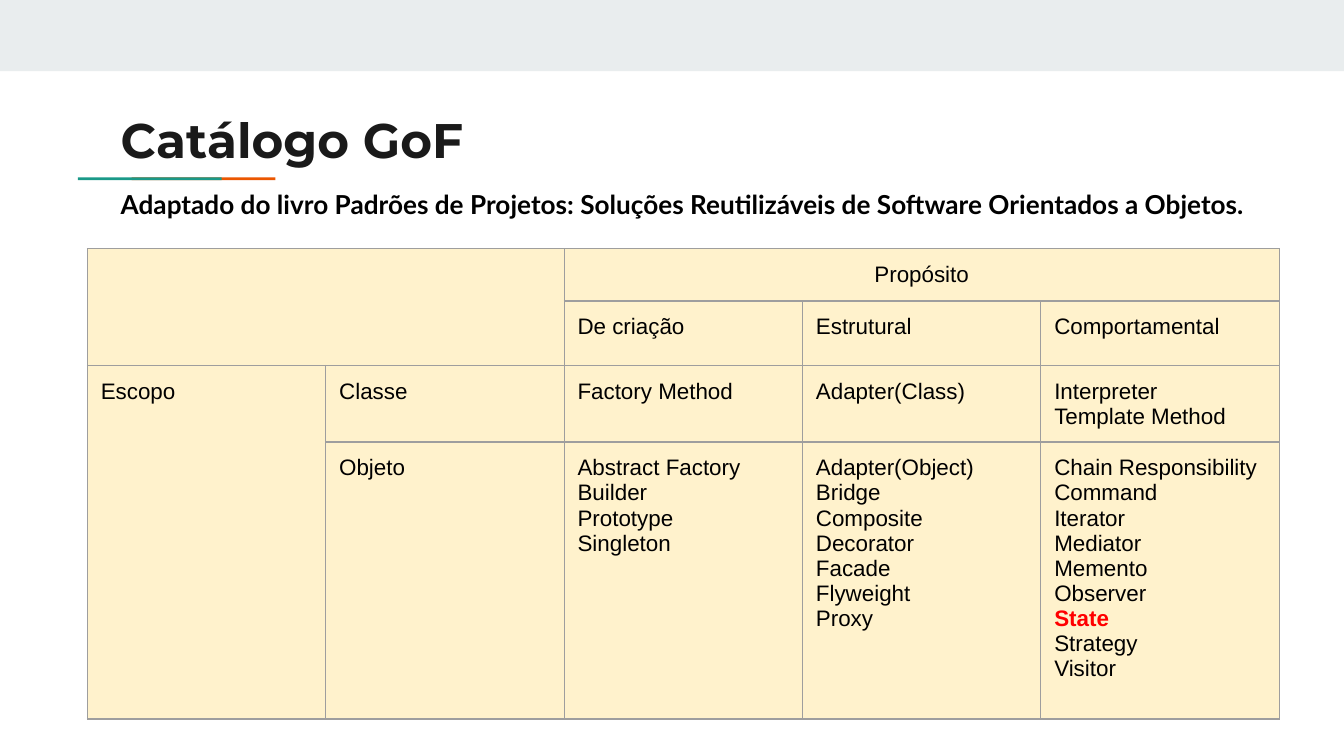
from lxml import etree
from pptx import Presentation
from pptx.dml.color import RGBColor
from pptx.enum.shapes import MSO_SHAPE
from pptx.enum.text import PP_ALIGN
from pptx.oxml import parse_xml
from pptx.oxml.ns import nsdecls, qn
from pptx.util import Inches, Pt

CREAM, GRID, BLACK, RED = "FFF2CC", "9E9E9E", "000000", "FF0000"
ROWS = [0.39, 0.48, 0.57, 2.06]
MERGES = [((0, 0), (1, 1)), ((0, 2), (0, 4)), ((2, 0), (3, 0))]
CATALOG = [
    [[], [], ["Propósito"], [], []],
    [[], [], ["De criação"], ["Estrutural"], ["Comportamental"]],
    [["Escopo"], ["Classe"], ["Factory Method"], ["Adapter(Class)"],
     ["Interpreter", "Template Method"]],
    [[], ["Objeto"],
     ["Abstract Factory", "Builder", "Prototype", "Singleton"],
     ["Adapter(Object)", "Bridge", "Composite", "Decorator", "Facade",
      "Flyweight", "Proxy"],
     ["Chain Responsibility", "Command", "Iterator", "Mediator", "Memento",
      "Observer", "State", "Strategy", "Visitor"]],
]


def rgb(color):
    """Turn a hex string into a colour."""
    return RGBColor.from_string(color)


def add_run(p, text, size, font, color, bold=False):
    """Add one formatted run to a paragraph."""
    r = p.add_run()
    r.text = text
    r.font.size, r.font.name, r.font.bold = Pt(size), font, bold
    r.font.color.rgb = rgb(color)


def set_margins(frame, bottom=0.1):
    """Give a text frame or cell its margins."""
    frame.margin_left = frame.margin_right = frame.margin_top = Inches(0.1)
    frame.margin_bottom = Inches(bottom)


def add_bar(s, x, y, w, h, color):
    """Draw a plain filled rectangle."""
    sp = s.shapes.add_shape(MSO_SHAPE.RECTANGLE, Inches(x), Inches(y), Inches(w), Inches(h))
    sp.shadow.inherit = False
    sp.fill.solid()
    sp.fill.fore_color.rgb = rgb(color)
    sp.line.fill.background()


def add_text(s, x, y, w, h, text, size, font, color):
    """Place one bold line of text in a box."""
    tf = s.shapes.add_textbox(Inches(x), Inches(y), Inches(w), Inches(h)).text_frame
    tf.word_wrap = True
    set_margins(tf)
    add_run(tf.paragraphs[0], text, size, font, color, True)


def add_header(s, x, y, w):
    """Place the title, its two-colour underline and the subtitle."""
    add_bar(s, x + 0.18, y + 0.6, 1.07, 0.02, "EB5600")
    add_bar(s, x - 0.22, y + 0.6, 1.07, 0.02, "1A9988")
    add_text(s, x, y, 8.41, 0.59, "Catálogo GoF", 26, "Montserrat", "1A1A1A")
    add_text(s, x, y + 0.58, w, 0.42,
             "Adaptado do livro Padrões de Projetos: Soluções Reutilizáveis "
             "de Software Orientados a Objetos.", 14, "Lato", BLACK)


def style_cell(cell):
    """Apply the fill, margins and borders of a table cell."""
    set_margins(cell, 0.05)
    tc_pr = cell._tc.get_or_add_tcPr()
    for side in ("lnL", "lnR", "lnT", "lnB"):
        tc_pr.append(parse_xml(
            f'<a:{side} {nsdecls("a")} w="9525"><a:solidFill>'
            f'<a:srgbClr val="{GRID}"/></a:solidFill></a:{side}>'))
    cell.fill.solid()
    cell.fill.fore_color.rgb = rgb(CREAM)


def fill_cell(cell, lines):
    """Write one paragraph per line, or size an empty cell."""
    tf = cell.text_frame
    for i, line in enumerate(lines):
        p = tf.add_paragraph() if i else tf.paragraphs[0]
        marked = line == "State"
        add_run(p, line, 12, "Arial", RED if marked else BLACK, marked)
    if not lines:
        etree.SubElement(tf.paragraphs[0]._p, qn("a:endParaRPr"), sz="1200")


def add_catalog(s, x, y, w):
    """Build the pattern table."""
    cols = len(CATALOG[0])
    table = s.shapes.add_table(len(ROWS), cols, Inches(x), Inches(y),
                               Inches(w), Inches(sum(ROWS))).table
    table.first_row = table.horz_banding = False
    for col in table.columns:
        col.width = Inches(w / cols)
    for i, row in enumerate(CATALOG):
        table.rows[i].height = Inches(ROWS[i])
        for j, lines in enumerate(row):
            style_cell(table.cell(i, j))
            fill_cell(table.cell(i, j), lines)
    for start, end in MERGES:
        table.cell(*start).merge(table.cell(*end))
    table.cell(0, 2).text_frame.paragraphs[0].alignment = PP_ALIGN.CENTER


def build_slide(prs):
    """Compose the slide."""
    s = prs.slides.add_slide(prs.slide_layouts[6])
    add_bar(s, 0, 0, 10, 0.53, "E9EDEE")
    add_header(s, 0.8, 0.72, 8.58)
    add_catalog(s, 0.65, 1.85, 8.87)


prs = Presentation()
prs.slide_width = Inches(10)
prs.slide_height = prs.slide_width * 9 // 16
build_slide(prs)
prs.save("out.pptx")
